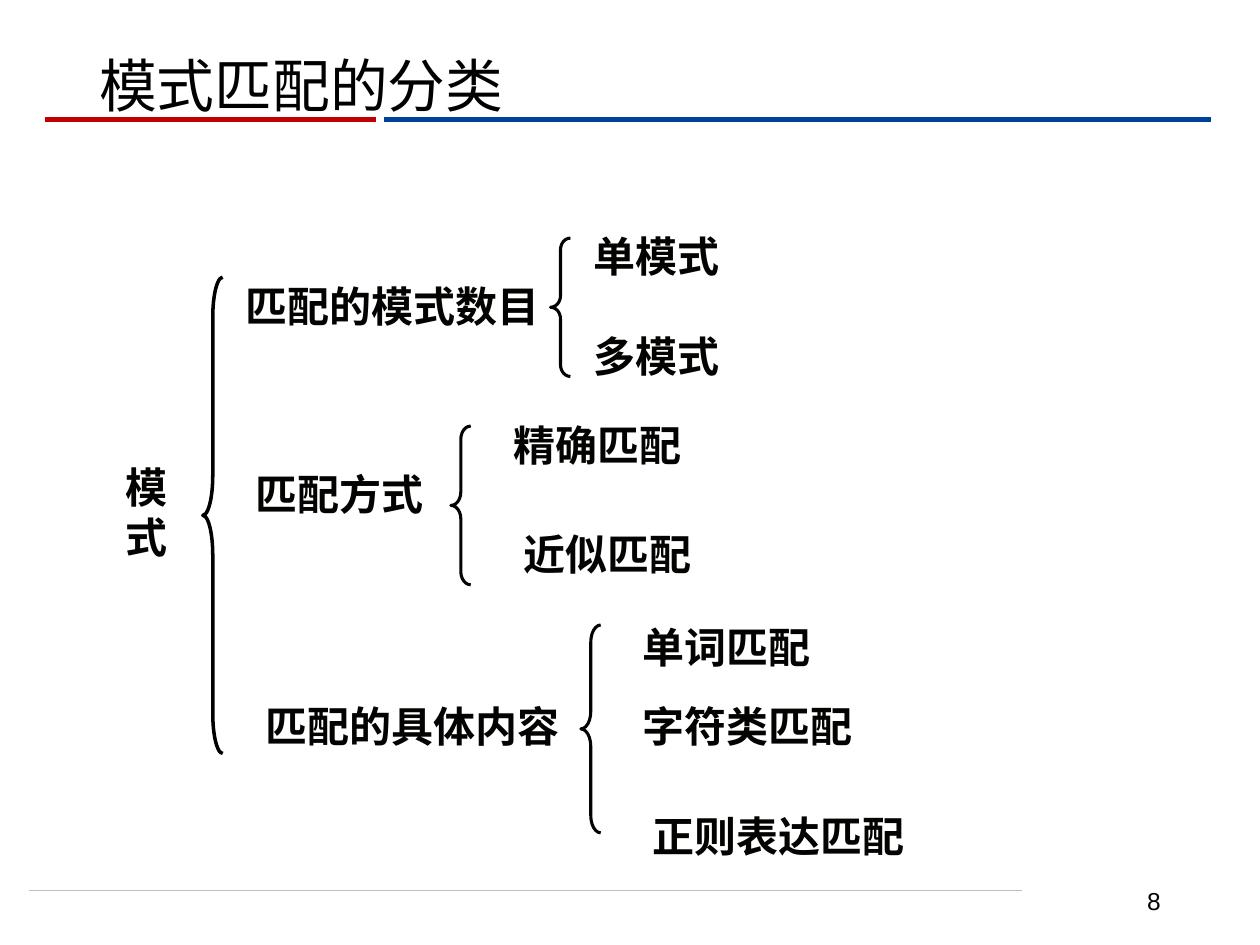
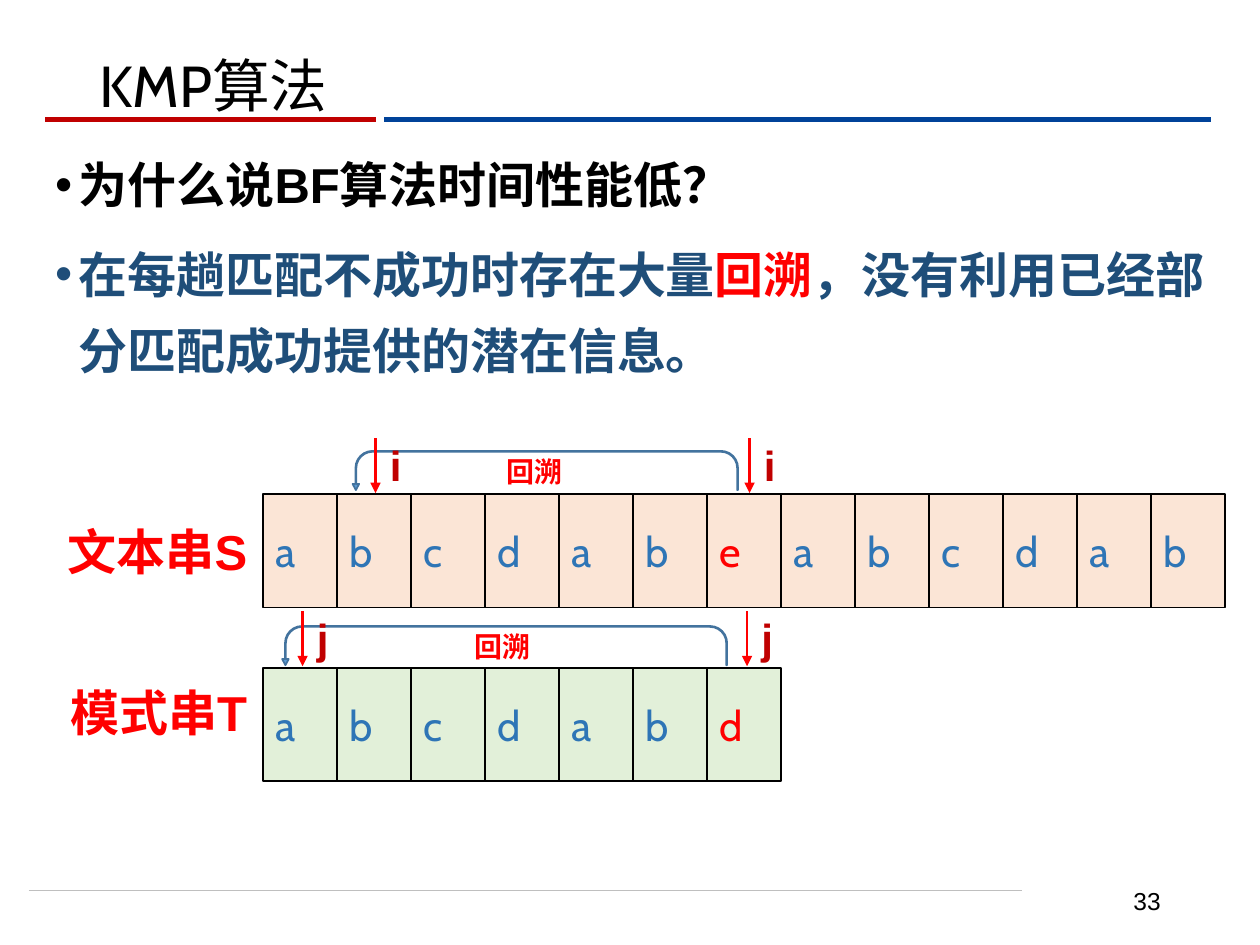
from lxml.etree import SubElement
from pptx import Presentation
from pptx.dml.color import RGBColor
from pptx.enum.shapes import MSO_CONNECTOR, MSO_SHAPE
from pptx.enum.text import MSO_ANCHOR, PP_ALIGN
from pptx.oxml.ns import qn
from pptx.util import Cm, Pt

BLACK = RGBColor(0, 0, 0)
INK = RGBColor(0x03, 0x03, 0x01)
GRAY = RGBColor(0xBF, 0xBF, 0xBF)
NAVY = RGBColor(0x00, 0x42, 0x99)
CRIMSON = RGBColor(0xC0, 0x00, 0x00)
RED = RGBColor(0xFF, 0x00, 0x00)
DEEP = RGBColor(0x1F, 0x4E, 0x79)
BLUE = RGBColor(0x2E, 0x75, 0xB6)
SKY = RGBColor(0x5B, 0x9B, 0xD5)
STEEL = RGBColor(0x43, 0x73, 0x9E)
PEACH = RGBColor(0xFB, 0xE5, 0xD6)
MINT = RGBColor(0xE2, 0xF0, 0xD9)

BODY = "Arial"
HEAD = "Cabin"
BRACE = 0.4
LEFT = 5.3
CELL = 19.4 / 13
TALL = 2.29


def add_run(para, text, size, color, font=BODY, bold=True):
    run = para.add_run()
    run.text = text
    run.font.size = Pt(size)
    run.font.name = font
    run.font.bold = bold
    run.font.color.rgb = color


def add_box(slide, x, y, wide, high, anchor=MSO_ANCHOR.TOP):
    frame = slide.shapes.add_textbox(Cm(x), Cm(y), Cm(wide), Cm(high)).text_frame
    frame.word_wrap = True
    frame.vertical_anchor = anchor
    return frame


def add_label(slide, text, x, y, wide=7.2, high=1.27, size=24, color=INK):
    frame = add_box(slide, x, y, wide, high)
    add_run(frame.paragraphs[0], text, size, color)


def add_line(slide, start, end, color, width, arrow=False):
    ends = [Cm(n) for n in (*start, *end)]
    line = slide.shapes.add_connector(MSO_CONNECTOR.STRAIGHT, *ends)
    line.line.color.rgb = color
    line.line.width = Pt(width)
    if arrow:
        SubElement(line.line._get_or_add_ln(), qn("a:tailEnd"), type="triangle")
    SubElement(line._element.spPr, qn("a:effectLst"))


def add_form(slide, kind, x, y, wide, high, color, width, fill=None):
    form = slide.shapes.add_shape(kind, Cm(x), Cm(y), Cm(wide), Cm(high))
    form.shadow.inherit = False
    form.line.color.rgb = color
    form.line.width = Pt(width)
    if fill is None:
        form.fill.background()
    else:
        form.fill.solid()
        form.fill.fore_color.rgb = fill
    return form


def add_brace(slide, x, y, high, color=INK, width=1.75):
    brace = add_form(slide, MSO_SHAPE.LEFT_BRACE, x, y, BRACE, high, color, width)
    brace.adjustments[0] = high / BRACE / 12


def add_cells(slide, word, y, fill, miss):
    for col, char in enumerate(word):
        cell = add_form(slide, MSO_SHAPE.RECTANGLE, LEFT + col * CELL, y,
                        CELL, TALL, BLACK, 1, fill)
        cell.text_frame.vertical_anchor = MSO_ANCHOR.MIDDLE
        para = cell.text_frame.paragraphs[0]
        para.alignment = PP_ALIGN.JUSTIFY
        add_run(para, char, 24, RED if col == miss else BLUE, HEAD, False)


def add_return(slide, x, y, wide):
    turn = add_form(slide, MSO_SHAPE.U_TURN_ARROW, x, y, wide, 0.79, STEEL, 1, SKY)
    for spot, value in enumerate((0.023, 0.083, 0.156, 0.438, 1)):
        turn.adjustments[spot] = value
    turn._element.spPr.xfrm.set("flipH", "1")


def add_pointer(slide, name, x, y):
    add_line(slide, (x, y), (x, y + 1.11), RED, 1.5, arrow=True)
    add_label(slide, name, x + 0.04, y - 0.09, wide=0.9, color=CRIMSON)


def add_point(para, parts):
    para.line_spacing = 1.3
    para.space_before = Pt(7.5)
    props = para._p.get_or_add_pPr()
    props.set("marL", str(Cm(0.48)))
    props.set("indent", str(-Cm(0.48)))
    SubElement(props, qn("a:buFont"), typeface=BODY)
    SubElement(props, qn("a:buChar"), char="•")
    for text, color in parts:
        add_run(para, text, 28, color)


def add_page(deck, title, number):
    slide = deck.slides.add_slide(deck.slide_layouts[6])
    add_line(slide, (0.58, 17.96), (20.6, 17.96), GRAY, 0.5)
    add_line(slide, (7.75, 2.41), (24.41, 2.41), NAVY, 3)
    add_line(slide, (0.91, 2.41), (7.57, 2.41), CRIMSON, 3)
    para = add_box(slide, 17.93, 17.65, 5.72, 1.02, MSO_ANCHOR.MIDDLE).paragraphs[0]
    para.alignment = PP_ALIGN.RIGHT
    add_run(para, str(number), 14, BLACK, bold=False)
    para = add_box(slide, 1.75, -0.05, 21.89, 3.68, MSO_ANCHOR.MIDDLE).paragraphs[0]
    para.line_spacing = 0.9
    add_run(para, title, 33, BLACK, HEAD, False)
    return slide


def draw_classes(deck):
    slide = add_page(deck, "模式匹配的分类", 8)
    add_label(slide, "模式", 2.29, 9.17, wide=1.4, high=3.43)
    add_brace(slide, 4.09, 5.59, 9.6, BLACK, 2)
    for x, y, high in ((11.1, 4.8, 2.79), (9.09, 8.59, 3.2), (11.71, 12.6, 4.19)):
        add_brace(slide, x, y, high)
    labels = (
        ("匹配的模式数目", 4.7, 5.54),
        ("单模式", 11.71, 4.52),
        ("多模式", 11.71, 6.53),
        ("匹配方式", 4.9, 9.32),
        ("精确匹配", 10.11, 8.33),
        ("近似匹配", 10.31, 10.52),
        ("匹配的具体内容", 5.11, 14),
        ("单词匹配", 12.7, 12.4),
        ("字符类匹配", 12.7, 14),
        ("正则表达匹配", 12.9, 16.21),
    )
    for text, x, y in labels:
        add_label(slide, text, x, y)


def draw_search(deck):
    slide = add_page(deck, "KMP算法", 33)
    frame = add_box(slide, 0.86, 2.64, 24.13, 11.89)
    add_point(frame.paragraphs[0], [("为什么说BF算法时间性能低？", BLACK)])
    add_point(frame.add_paragraph(), [
        ("在每趟匹配不成功时存在大量", DEEP),
        ("回溯", RED),
        ("，没有利用已经部分匹配成功提供的潜在信息。", DEEP),
    ])
    add_label(slide, "文本串S", 1.12, 10.39, 4.19, 1.45, 28, RED)
    add_label(slide, "模式串T", 1.17, 13.64, 4.14, 1.45, 28, RED)
    add_cells(slide, "abcdabeabcdab", 9.96, PEACH, 6)
    add_cells(slide, "abcdabd", 13.46, MINT, 6)
    add_return(slide, 7.11, 9.09, 7.77)
    add_return(slide, 5.69, 12.62, 8.97)
    for name, y, spots in (("i", 8.83, (15.11, 7.57)), ("j", 12.32, (15.06, 6.1))):
        for x in spots:
            add_pointer(slide, name, x, y)
    for x, y in ((9.96, 9.04), (9.32, 12.57)):
        add_label(slide, "回溯", x, y, 1.8, 0.94, 16, RED)


def main():
    deck = Presentation()
    deck.slide_width = Cm(25.4)
    deck.slide_height = Cm(19.05)
    draw_classes(deck)
    draw_search(deck)
    deck.save("out.pptx")


if __name__ == "__main__":
    main()
